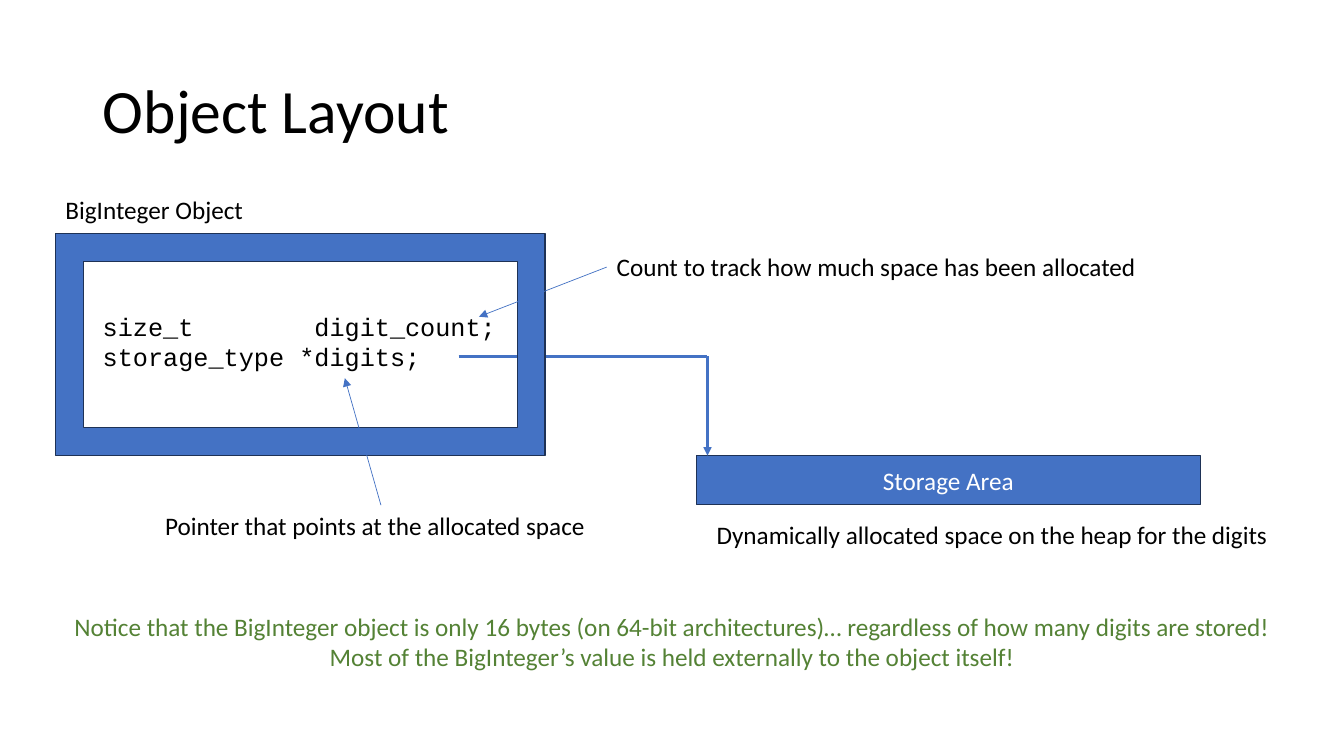
import pptx
import pptx.util
import pptx.dml.color
import pptx.enum.shapes
import pptx.enum.text
import pptx.oxml

Cm = pptx.util.Cm
Pt = pptx.util.Pt
Kind = pptx.enum.shapes.MSO_SHAPE
Align = pptx.enum.text.PP_ALIGN
Anchor = pptx.enum.text.MSO_ANCHOR


def tint(code):
    return pptx.dml.color.RGBColor.from_string(code)


class Deck:
    """Holds the style and the current slide, and draws each kind of element."""

    blue, edge, ink, green, white = "4472C4", "1E3256", "000000", "548235", "FFFFFF"
    sans, mono = "Calibri", "Courier New"

    def __init__(self, wide, high):
        self.prs = pptx.Presentation()
        self.prs.slide_width, self.prs.slide_height = Cm(wide), Cm(high)
        self.slide = self.prs.slides.add_slide(self.prs.slide_layouts[5])

    def words(self, frame, lines, size=18, color=ink, font=sans, align=Align.LEFT):
        for i, line in enumerate(lines):
            para = frame.paragraphs[0] if i == 0 else frame.add_paragraph()
            para.alignment = align
            run = para.add_run()
            run.text = line
            run.font.size, run.font.name = Pt(size), font
            run.font.color.rgb = tint(color)

    def title(self, box, text):
        shape = self.slide.shapes.title
        shape.left, shape.top, shape.width, shape.height = map(Cm, box)
        shape.text_frame.vertical_anchor = Anchor.MIDDLE
        self.words(shape.text_frame, [text], size=44)
        shape.text_frame.paragraphs[0].line_spacing = 0.9

    def text(self, box, *lines, **style):
        shape = self.slide.shapes.add_textbox(*map(Cm, box))
        shape.text_frame.word_wrap = False
        shape.text_frame.auto_size = pptx.enum.text.MSO_AUTO_SIZE.SHAPE_TO_FIT_TEXT
        self.words(shape.text_frame, lines, **style)
        return shape

    def block(self, kind, box, *lines):
        shape = self.slide.shapes.add_shape(kind, *map(Cm, box))
        shape.shadow.inherit = False
        shape.fill.solid()
        shape.fill.fore_color.rgb = tint(self.blue)
        shape.line.color.rgb = tint(self.edge)
        shape.line.width = Pt(1)
        shape.text_frame.vertical_anchor = Anchor.MIDDLE
        self.words(shape.text_frame, lines, color=self.white, align=Align.CENTER)

    def line(self, start, end, width, head=True, source=None, side=0):
        link = self.slide.shapes.add_connector(
            pptx.enum.shapes.MSO_CONNECTOR.STRAIGHT, *map(Cm, start + end))
        if source is not None:
            link.begin_connect(source, side)
        link.line.color.rgb = tint(self.blue)
        link.line.width = Pt(width)
        props = link._element.spPr
        space = 'xmlns:a="http://schemas.openxmlformats.org/drawingml/2006/main"'
        if head:
            props.get_or_add_ln().append(
                pptx.oxml.parse_xml(f'<a:tailEnd {space} type="triangle"/>'))
        props.append(pptx.oxml.parse_xml(f"<a:effectLst {space}/>"))


def main():
    deck = Deck(33.87, 19.05)
    deck.title((2.34, 1.02, 29.21, 3.68), "Object Layout")
    deck.text((2.34, 7.72, 10.46, 1.8), "size_t        digit_count;",
              "storage_type *digits;", font=deck.mono)
    deck.block(Kind.RECTANGLE, (17.55, 11.48, 12.7, 1.24), "Storage Area")
    deck.line((11.56, 8.98), (17.83, 8.98), 2, head=False)
    deck.line((17.83, 8.98), (17.83, 11.48), 2)
    deck.block(Kind.FRAME, (1.4, 5.89, 12.34, 5.59))

    deck.text((17.81, 12.95, 14.55, 1.02),
              "Dynamically allocated space on the heap for the digits")
    deck.text((1.4, 4.78, 5.03, 1.02), "BigInteger Object")
    count = deck.text((15.29, 6.22, 13.92, 1.02),
                      "Count to track how much space has been allocated")
    point = deck.text((3.91, 12.73, 11.38, 1.02),
                      "Pointer that points at the allocated space")
    deck.line((9.6, 12.73), (8.69, 9.53), 0.5, source=point, side=0)
    deck.line((15.29, 6.73), (12.07, 7.98), 0.5, source=count, side=1)
    deck.text((1.55, 15.27, 30.78, 1.8),
              "Notice that the BigInteger object is only 16 bytes (on 64-bit "
              "architectures)… regardless of how many digits are stored!",
              "Most of the BigInteger’s value is held externally to the object itself!",
              color=deck.green, align=Align.CENTER)
    deck.prs.save("out.pptx")


if __name__ == "__main__":
    main()
